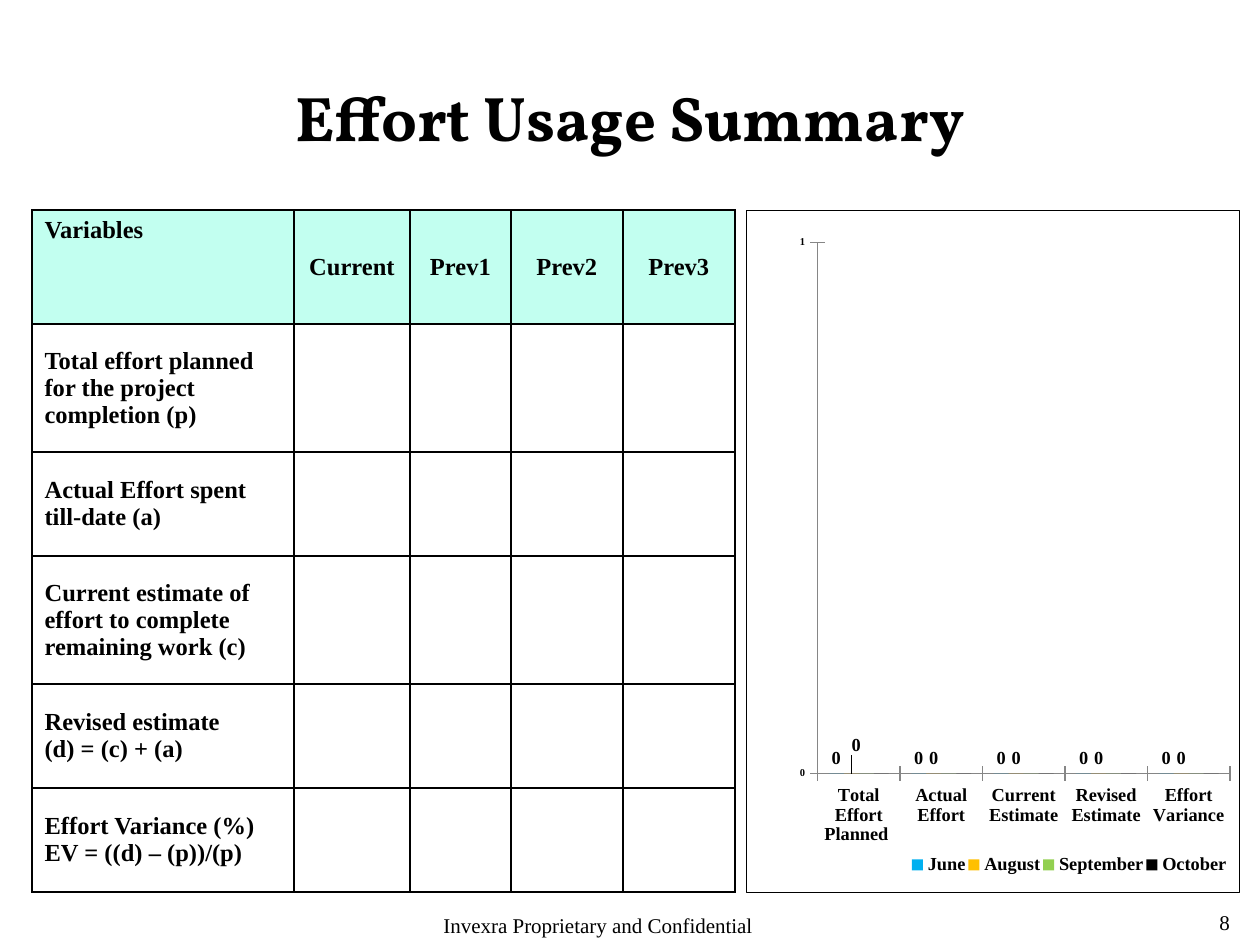
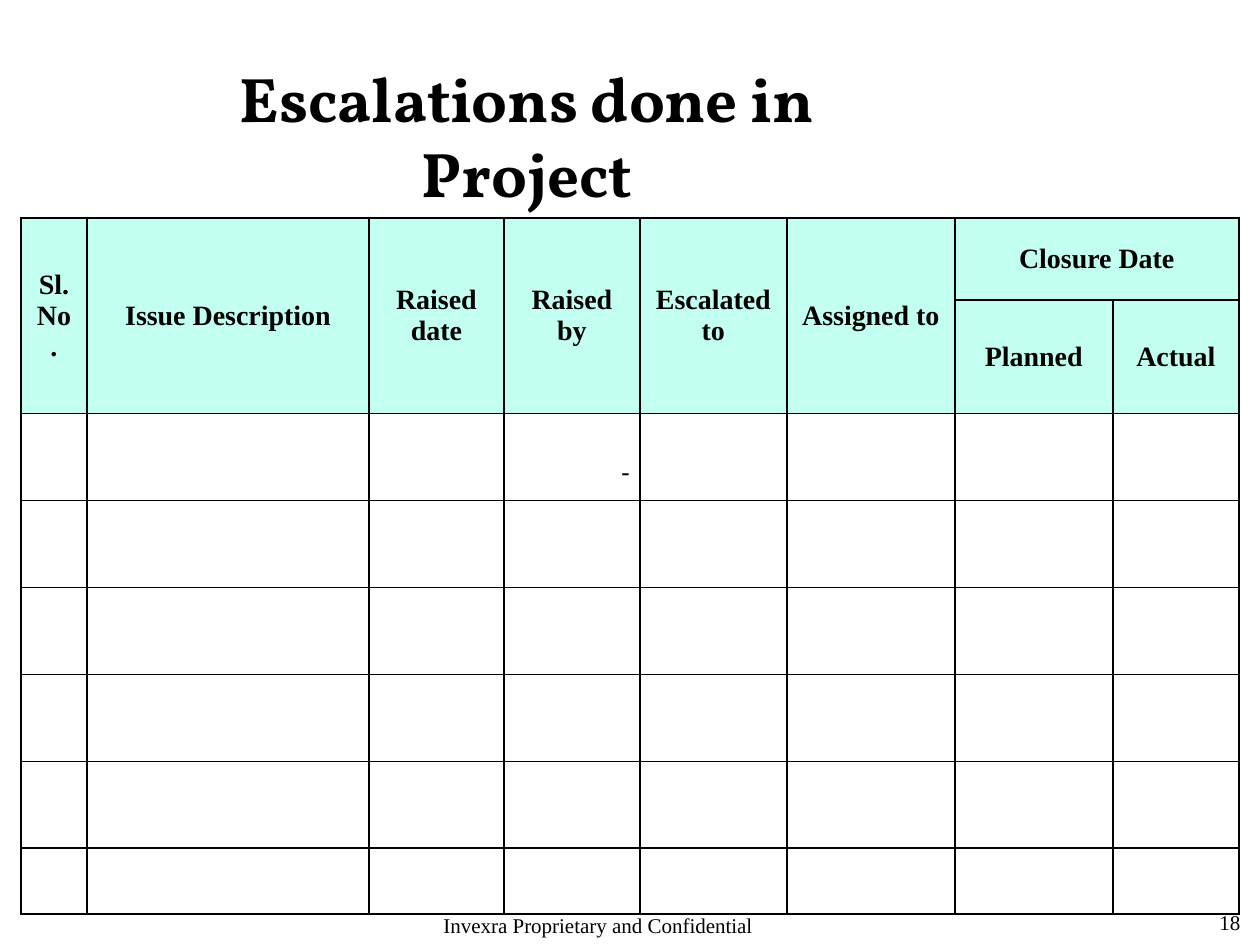
import pptx
import pptx.util
import pptx.chart.data
import pptx.dml.color
import pptx.enum.chart
import pptx.enum.text
import pptx.oxml
import pptx.oxml.ns

SCALE = 914400 / 126
HUES = {"ink": "000000", "head": "C2FFF0", "axis": "868686", "June": "00B0F0",
        "August": "FFC000", "September": "92D050", "October": "000000"}
BODY = "Times New Roman"
TITLE = "Vollkorn"
FOOTER = "Invexra Proprietary and Confidential"
MID = pptx.enum.text.MSO_ANCHOR.MIDDLE
ALIGN = pptx.enum.text.PP_ALIGN
qn = pptx.oxml.ns.qn
NS = pptx.oxml.ns.nsdecls("a", "c")


def px(n):
    return pptx.util.Emu(round(n * SCALE))


def hue(name):
    return pptx.dml.color.RGBColor.from_string(HUES[name])


def style(font, size, bold=False, name=BODY):
    font.size, font.bold, font.name = pptx.util.Pt(size), bold, name
    font.color.rgb = hue("ink")


def write(frame, text, size, bold=False, name=BODY, align=ALIGN.LEFT):
    frame.text = text
    for para in frame.paragraphs:
        para.alignment = align
        for run in para.runs:
            style(run.font, size, bold, name)


def label(slide, box, text, size, bold=False, name=BODY, align=ALIGN.LEFT, wrap=True):
    frame = slide.shapes.add_textbox(*map(px, box)).text_frame
    frame.word_wrap = wrap
    write(frame, text, size, bold, name, align)
    return frame


def title(slide, box, text):
    return label(slide, box, text, 36, True, TITLE, ALIGN.CENTER)


def footer(slide, page):
    label(slide, (1207, 903, 53, 42), str(page), 12)
    label(slide, (431, 906, 398, 39), FOOTER, 12)


# Tables: an empty ruled grid, then cells filled in
def rule(cell):
    props = cell._tc.get_or_add_tcPr()
    for side in "LRTB":
        props.append(pptx.oxml.parse_xml(
            f'<a:ln{side} {NS} w="12700"><a:solidFill><a:srgbClr val="{HUES["ink"]}"/>'
            f'</a:solidFill></a:ln{side}>'))


def grid(slide, left, top, cols, rows, heads):
    shape = slide.shapes.add_table(len(rows), len(cols), px(left), px(top),
                                   px(sum(cols)), px(sum(rows)))
    table = shape.table
    table.first_row = table.horz_banding = False
    for col, wide in zip(table.columns, cols):
        col.width = px(wide)
    for r, (row, tall) in enumerate(zip(table.rows, rows)):
        row.height = px(tall)
        for cell in row.cells:
            rule(cell)
            if r < heads:
                cell.fill.solid()
                cell.fill.fore_color.rgb = hue("head")
            else:
                cell.fill.background()
    return table


def put(cell, text, size, align=ALIGN.CENTER):
    write(cell.text_frame, text, size, True, align=align)
    cell.vertical_anchor = MID


def usage(slide, left, top):
    table = grid(slide, left, top, [262, 116, 101, 112, 112],
                 [114, 128, 104, 128, 104, 104], 1)
    names = ["Variables",
             "Total effort planned for the project completion (p)",
             "Actual Effort spent till-date (a)",
             "Current estimate of effort to complete remaining work (c)",
             "Revised estimate\n(d) = (c) + (a)",
             "Effort Variance (%)\nEV = ((d) – (p))/(p)"]
    for r, name in enumerate(names):
        put(table.cell(r, 0), name, 14, ALIGN.LEFT)
    table.cell(0, 0).vertical_anchor = pptx.enum.text.MSO_ANCHOR.TOP
    for c, name in enumerate(["Current", "Prev1", "Prev2", "Prev3"], 1):
        put(table.cell(0, c), name, 14)


def issues(slide, left, top):
    table = grid(slide, left, top, [66, 282, 135, 136, 147, 168, 158, 126],
                 [82, 113] + [87] * 5 + [66], 2)
    heads = ["Sl. No.", "Issue Description", "Raised date", "Raised by",
             "Escalated to", "Assigned to"]
    for c, name in enumerate(heads):
        table.cell(0, c).merge(table.cell(1, c))
        put(table.cell(0, c), name, 16)
    table.cell(0, 6).merge(table.cell(0, 7))
    put(table.cell(0, 6), "Closure Date", 16)
    put(table.cell(1, 6), "Planned", 16)
    put(table.cell(1, 7), "Actual", 16)


# Chart: manual layouts and frame need XML
def layout(inner="", **spots):
    tags = [f'<c:{k}Mode val="edge"/>' for k in spots if inner != "shift" and k in "xy"]
    tags += [f'<c:{k} val="{v}"/>' for k, v in spots.items()]
    target = '<c:layoutTarget val="inner"/>' if inner == "inner" else ""
    return pptx.oxml.parse_xml(f'<c:layout {NS}><c:manualLayout>{target}{"".join(tags)}'
                               '</c:manualLayout></c:layout>')


def bars(slide, box):
    data = pptx.chart.data.CategoryChartData()
    data.categories = ["Total Effort Planned ", "Actual Effort", "Current Estimate",
                       "Revised Estimate", "Effort Variance"]
    for name in ["June", "August", "September", "October"]:
        data.add_series(name, [0] * 5)
    kind = pptx.enum.chart.XL_CHART_TYPE.COLUMN_CLUSTERED
    chart = slide.shapes.add_chart(kind, *map(px, box), data).chart
    chart.has_title = False
    style(chart.font, 10.5, True)
    plot = chart.plots[0]
    plot.vary_by_categories = False
    plot.gap_width, plot.overlap = 150, 0

    # Axes
    for axis in (chart.category_axis, chart.value_axis):
        axis.has_major_gridlines = False
        axis.major_tick_mark = pptx.enum.chart.XL_TICK_MARK.CROSS
        axis.format.line.color.rgb = hue("axis")
        axis.format.line.width = pptx.util.Pt(0.75)
    style(chart.category_axis.tick_labels.font, 10.5, True)
    scale = chart.value_axis
    scale.minimum_scale, scale.maximum_scale, scale.major_unit = 0, 1, 1
    style(scale.tick_labels.font, 6, True)

    # Series and value labels
    for item in plot.series:
        item.format.fill.solid()
        item.format.fill.fore_color.rgb = hue(item.name)
        if item.name in ("June", "August"):
            item.data_labels.show_value = True
            item.data_labels.position = pptx.enum.chart.XL_LABEL_POSITION.OUTSIDE_END
            style(item.data_labels.font, 10.5, True)
    first = plot.series[1]
    style(first.points[0].data_label.font, 10.5, True)
    mark = first._element.find(qn("c:dLbls")).find(qn("c:dLbl"))
    mark.find(qn("c:idx")).addnext(layout("shift", x=0.01, y=-0.02))

    # Legend, plot area and frame
    chart.has_legend = True
    chart.legend.position = pptx.enum.chart.XL_LEGEND_POSITION.RIGHT
    chart.legend.include_in_layout = False
    style(chart.legend.font, 10.5, True)
    root = chart._chartSpace.find(qn("c:chart"))
    key, area = root.find(qn("c:legend")), root.find(qn("c:plotArea"))
    for part in (key, area):
        for old in part.findall(qn("c:layout")):
            part.remove(old)
    key.find(qn("c:legendPos")).addnext(layout(x=0.33, y=0.94, w=0.65, h=0.04))
    area.insert(0, layout("inner", x=0.144, y=0.047, w=0.837, h=0.779))
    root.addnext(pptx.oxml.parse_xml(
        f'<c:spPr {NS}><a:noFill/><a:ln w="9525"><a:solidFill>'
        f'<a:srgbClr val="{HUES["ink"]}"/></a:solidFill></a:ln></c:spPr>'))


def effort(slide):
    frame = title(slide, (63, 38, 1134, 157), "Effort Usage Summary")
    frame.vertical_anchor = MID
    usage(slide, 32, 210)
    footer(slide, 8)
    bars(slide, (746, 210, 494, 683))


def raised(slide):
    dash = label(slide, (607, 451, 45, 43), "- ", 14, name="DejaVu Sans",
                 align=ALIGN.CENTER, wrap=False)
    dash.paragraphs[0].space_before = pptx.util.Pt(3.5)
    footer(slide, 18)
    frame = title(slide, (228, 53, 805, 89), "Escalations done in Project")
    frame.margin_left, frame.margin_right = 0, px(207)
    issues(slide, 21, 218)


def main():
    deck = pptx.Presentation()
    deck.slide_width, deck.slide_height = px(1260), px(945)
    for build in (effort, raised):
        build(deck.slides.add_slide(deck.slide_layouts[6]))
    deck.save("out.pptx")


if __name__ == "__main__":
    main()
